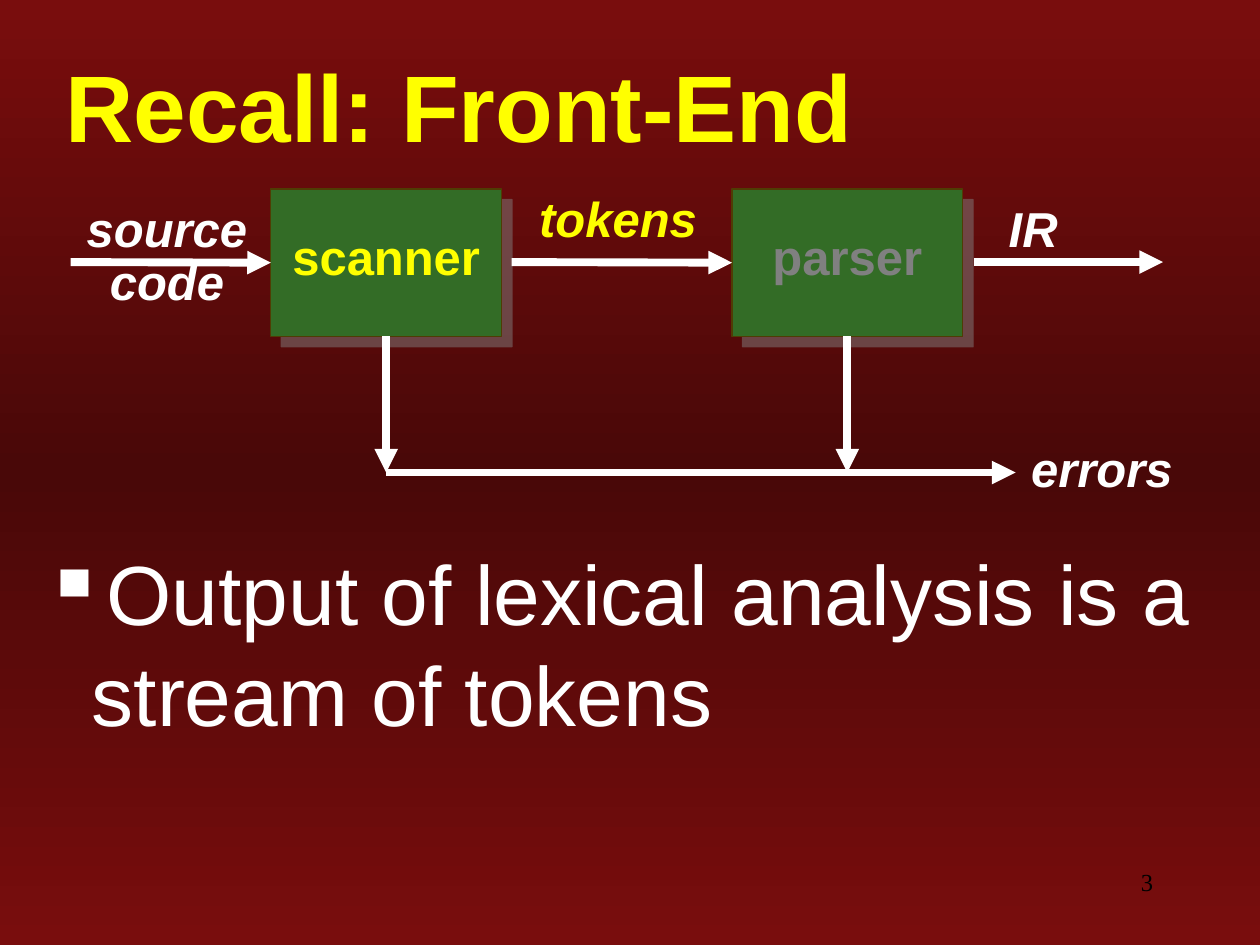
from copy import deepcopy
from pptx import Presentation
from pptx.dml.color import RGBColor
from pptx.enum.shapes import MSO_CONNECTOR, MSO_SHAPE
from pptx.enum.text import MSO_ANCHOR, PP_ALIGN
from pptx.oxml import parse_xml
from pptx.oxml.ns import nsdecls, qn
from pptx.util import Inches, Pt

COLORS = {
    "edge": "790D0D", "middle": "490808", "green": "336C26", "outline": "503C04",
    "gray": "808080", "yellow": "FFFF00", "white": "FFFFFF", "black": "000000",
    "title_shadow": "DDDDDD",
}
TITLE = "Recall: Front-End"
BULLET = "Output of lexical analysis is a stream of tokens"
PAGE_NUMBER = "3"

BOX_TOP, BOX_WIDTH, BOX_HEIGHT = 1.5, 1.83, 1.17
FLOW_Y, ERROR_Y = 2.08, 3.75
STAGES = [
    ("scanner", 2.15, "yellow"),
    ("parser", 5.81, "gray"),
]
LABELS = [
    ("source\ncode", (0.48, 1.58, 1.69, 0.94), "white"),
    ("tokens", (4.06, 1.5, 1.69, 0.52), "yellow"),
    ("IR", (7.23, 1.58, 1.94, 0.52), "white"),
    ("errors", (7.9, 3.48, 1.69, 0.52), "white"),
]
FLOWS = [
    (0.56, 2.15, FLOW_Y, "scanner"),
    (4.06, 5.81, FLOW_Y, "parser"),
    (7.73, 9.23, FLOW_Y, None),
    (3.06, 8.06, ERROR_Y, None),
]


def color(name):
    return RGBColor.from_string(COLORS[name])


def shadow_effect(name, distance, opacity):
    return parse_xml(
        f'<a:effectLst {nsdecls("a")}><a:outerShdw dist="{Pt(distance)}" dir="2700000" '
        f'algn="ctr" rotWithShape="0"><a:srgbClr val="{COLORS[name]}">'
        f'<a:alpha val="{opacity * 1000}"/></a:srgbClr></a:outerShdw></a:effectLst>')


def paint_background(page):
    fill = page.background.fill
    fill.gradient()
    fill.gradient_angle = 270
    stops = page.element.find(".//" + qn("a:gsLst"))
    stops.insert(1, deepcopy(stops[0]))
    for stop, position, name in zip(fill.gradient_stops, (0, 0.5, 1), ("edge", "middle", "edge")):
        stop.position = position
        stop.color.rgb = color(name)


def add_text(page, text, place, size, name, font="Arial", bold=False, italic=False,
             align=PP_ALIGN.LEFT, anchor=MSO_ANCHOR.TOP, wrap=True, spacing=None):
    box = page.shapes.add_textbox(*map(Inches, place))
    frame = box.text_frame
    frame.word_wrap = wrap
    frame.vertical_anchor = anchor
    para = frame.paragraphs[0]
    para.alignment = align
    if spacing:
        para.line_spacing = spacing
    for index, line in enumerate(text.split("\n")):
        if index:
            para.add_line_break()
        span = para.add_run()
        span.text = line
        span.font.name = font
        span.font.size = Pt(size)
        span.font.bold = bold
        span.font.italic = italic
        span.font.color.rgb = color(name)
    return para


def add_bullet(para, indent):
    properties = para._p.get_or_add_pPr()
    properties.set("marL", str(Inches(indent)))
    properties.set("indent", str(-Inches(indent)))
    properties.append(parse_xml(
        f'<a:buClr {nsdecls("a")}><a:srgbClr val="{COLORS["white"]}"/></a:buClr>'))
    properties.append(parse_xml(f'<a:buChar {nsdecls("a")} char="▪"/>'))


def add_stage(page, text, left, name):
    box = page.shapes.add_shape(MSO_SHAPE.RECTANGLE, *map(
        Inches, (left, BOX_TOP, BOX_WIDTH, BOX_HEIGHT)))
    box.fill.solid()
    box.fill.fore_color.rgb = color("green")
    box.line.color.rgb = color("outline")
    box.line.width = Pt(0.75)
    box._element.spPr.append(shadow_effect("gray", 8.5, 50))
    add_text(page, text, (left, 1.75, BOX_WIDTH, 0.57), 28, name, bold=True,
             align=PP_ALIGN.CENTER, wrap=False)
    return box


def add_arrow(page, start, end):
    arrow = page.shapes.add_connector(MSO_CONNECTOR.STRAIGHT, *map(Inches, start + end))
    arrow.line.color.rgb = color("white")
    arrow.line.width = Pt(4.5)
    arrow.line._get_or_add_ln().append(
        parse_xml(f'<a:tailEnd {nsdecls("a")} type="triangle"/>'))
    arrow._element.spPr.append(parse_xml(f'<a:effectLst {nsdecls("a")}/>'))
    return arrow


def main():
    deck = Presentation()
    deck.slide_width, deck.slide_height = Inches(10), Inches(7.5)
    page = deck.slides.add_slide(deck.slide_layouts[6])
    paint_background(page)

    add_text(page, PAGE_NUMBER, (7.17, 6.83, 2.08, 0.5), 14, "black",
             font="Times New Roman", align=PP_ALIGN.RIGHT)
    title = add_text(page, TITLE, (0.42, 0.42, 9.67, 0.83), 54, "yellow",
                     bold=True, anchor=MSO_ANCHOR.MIDDLE)
    fill = title.runs[0].font._element.find(qn("a:solidFill"))
    fill.addnext(shadow_effect("title_shadow", 2, 100))
    add_bullet(add_text(page, BULLET, (0.25, 4.25, 9.75, 2.83), 48, "white"), 0.38)

    stages = {text: add_stage(page, text, left, name) for text, left, name in STAGES}
    for start, end, y, target in FLOWS:
        arrow = add_arrow(page, (start, y), (end, y))
        if target:
            arrow.end_connect(stages[target], 1)
    for text, left, name in STAGES:
        x = left + BOX_WIDTH / 2
        arrow = add_arrow(page, (x, BOX_TOP + BOX_HEIGHT), (x, ERROR_Y))
        arrow.begin_connect(stages[text], 2)
    for text, place, name in LABELS:
        add_text(page, text, place, 28, name, bold=True, italic=True,
                 align=PP_ALIGN.CENTER, spacing=0.9)

    deck.save("out.pptx")


if __name__ == "__main__":
    main()
